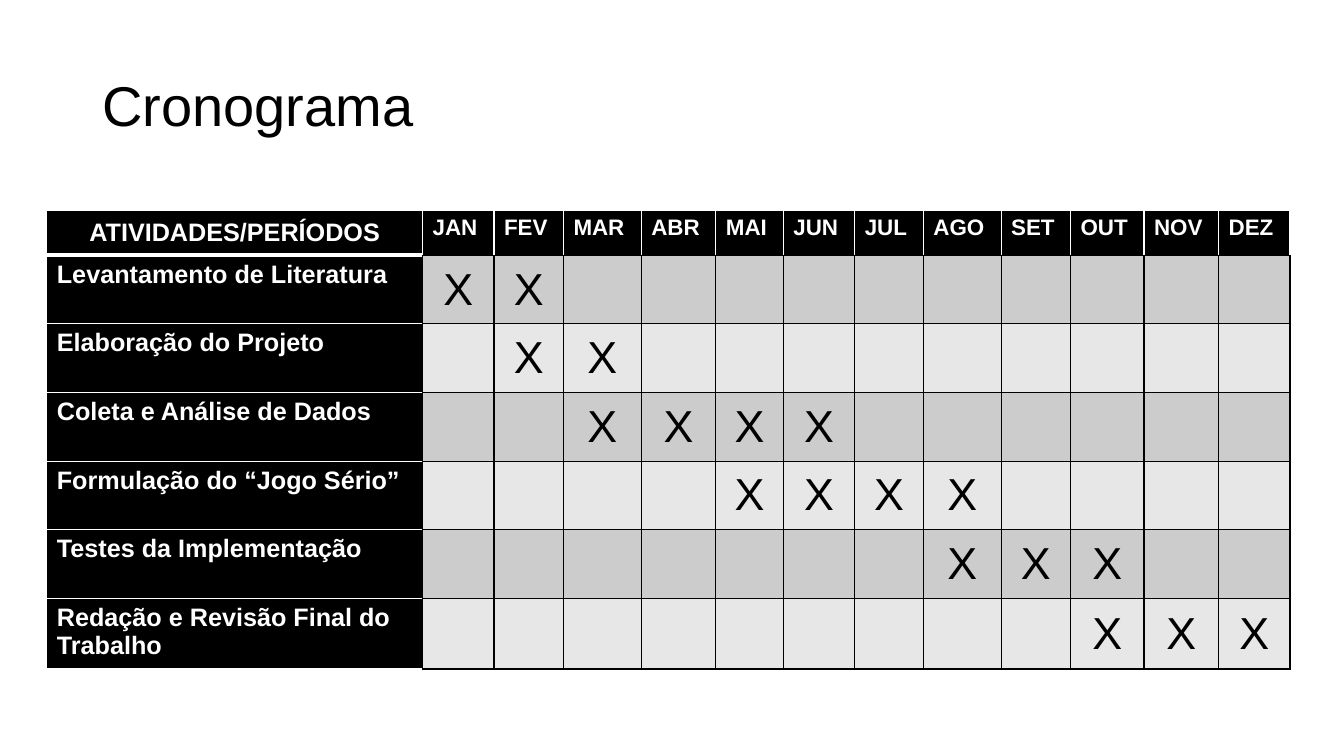
from lxml.etree import SubElement
from pptx import Presentation
from pptx.dml.color import RGBColor
from pptx.enum.text import MSO_ANCHOR as Anchor, PP_ALIGN as Align
from pptx.oxml.ns import qn
from pptx.util import Cm, Pt

TITLE = "Cronograma"
CORNER = "ATIVIDADES/PERÍODOS"
# Month and column width in cm
MONTHS = [
    ("JAN", 1.8), ("FEV", 1.75), ("MAR", 1.96), ("ABR", 1.88),
    ("MAI", 1.7), ("JUN", 1.8), ("JUL", 1.73), ("AGO", 1.96),
    ("SET", 1.75), ("OUT", 1.85), ("NOV", 1.88), ("DEZ", 1.8),
]
# Activity, first month, last month
ACTIVITIES = [
    ("Levantamento de Literatura", "JAN", "FEV"),
    ("Elaboração do Projeto", "FEV", "MAR"),
    ("Coleta e Análise de Dados", "MAR", "JUN"),
    ("Formulação do “Jogo Sério”", "MAI", "AGO"),
    ("Testes da Implementação", "AGO", "OUT"),
    ("Redação e Revisão Final do Trabalho", "OUT", "DEZ"),
]
COLORS = {"black": "000000", "white": "FFFFFF", "dark": "CCCCCC", "light": "E7E7E7"}
FONT = "Arial"
LABEL_WIDTH, HEADER_HEIGHT, ROW_HEIGHT = 9.47, 1.12, 1.73
TABLE_LEFT, TABLE_TOP = 1.18, 5.31


def write(frame, text, size, color, bold=False, align=Align.LEFT):
    """Put one styled run in the first paragraph of a text frame."""
    para = frame.paragraphs[0]
    para.alignment = align
    span = para.add_run()
    span.text = text
    span.font.name, span.font.size, span.font.bold = FONT, Pt(size), bold
    span.font.color.rgb = RGBColor.from_string(COLORS[color])
    return para


def style_cell(cell, fill, left, right, top, bottom, bottom_width=1):
    """Set the four borders and the fill of a cell."""
    properties = cell._tc.get_or_add_tcPr()
    for side, color in zip("LRTB", (left, right, top, bottom)):
        width = bottom_width if side == "B" else 1
        line = SubElement(properties, qn(f"a:ln{side}"), w=str(Pt(width)))
        SubElement(SubElement(line, qn("a:solidFill")), qn("a:srgbClr"), val=COLORS[color])
    cell.fill.solid()
    cell.fill.fore_color.rgb = RGBColor.from_string(COLORS[fill])


def add_title(page):
    """Add the slide heading."""
    box = page.shapes.add_textbox(Cm(2.33), Cm(0.9), Cm(29.21), Cm(3.68))
    box.text_frame.word_wrap = True
    box.text_frame.vertical_anchor = Anchor.MIDDLE
    write(box.text_frame, TITLE, 40, "black").line_spacing = 0.9


def fill_header(table):
    """Write the corner cell and the month names."""
    corner = table.cell(0, 0)
    style_cell(corner, "black", "white", "white", "white", "white", bottom_width=3)
    corner.vertical_anchor = Anchor.MIDDLE
    write(corner.text_frame, CORNER, 18, "white", True, Align.CENTER)
    for column, (month, _) in enumerate(MONTHS, 1):
        cell = table.cell(0, column)
        style_cell(cell, "black", "white", "white", "white", "black")
        write(cell.text_frame, month, 16, "white", True)


def fill_activity(table, row, activity, first, last):
    """Write one activity and mark the months it spans."""
    label = table.cell(row, 0)
    style_cell(label, "black", "white", "black", "white", "white")
    write(label.text_frame, activity, 18, "white", True)
    names = [month for month, _ in MONTHS]
    band = "dark" if row % 2 else "light"
    for column, month in enumerate(names, 1):
        cell = table.cell(row, column)
        style_cell(cell, band, "black", "black", "black", "black")
        if names.index(first) <= names.index(month) <= names.index(last):
            cell.vertical_anchor = Anchor.MIDDLE
            write(cell.text_frame, "X", 32, "black", align=Align.CENTER)


def add_schedule(page):
    """Add the table of activities by month."""
    widths = [LABEL_WIDTH] + [width for _, width in MONTHS]
    heights = [HEADER_HEIGHT] + [ROW_HEIGHT] * len(ACTIVITIES)
    table = page.shapes.add_table(
        len(heights), len(widths), Cm(TABLE_LEFT), Cm(TABLE_TOP),
        Cm(sum(widths)), Cm(sum(heights))).table
    for column, width in zip(table.columns, widths):
        column.width = Cm(width)
    for row, height in zip(table.rows, heights):
        row.height = Cm(height)
    fill_header(table)
    for row, activity in enumerate(ACTIVITIES, 1):
        fill_activity(table, row, *activity)


deck = Presentation()
deck.slide_width, deck.slide_height = Cm(33.87), Cm(19.05)
page = deck.slides.add_slide(deck.slide_layouts[6])
add_title(page)
add_schedule(page)
deck.save("out.pptx")
